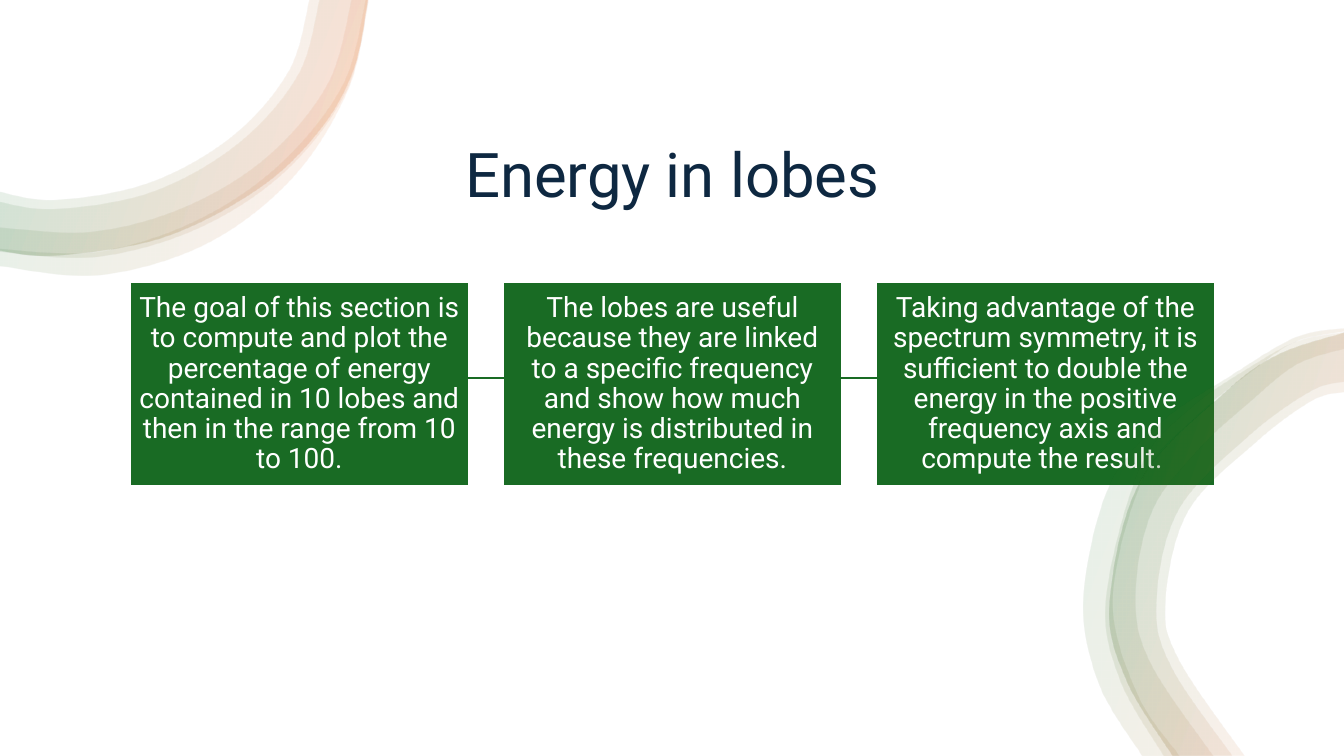
from dataclasses import dataclass

from lxml import etree
from pptx import Presentation
from pptx.dml.color import RGBColor
from pptx.enum.shapes import MSO_CONNECTOR, MSO_SHAPE
from pptx.enum.text import MSO_ANCHOR, MSO_AUTO_SIZE, PP_ALIGN
from pptx.oxml.ns import qn
from pptx.shapes.autoshape import Shape
from pptx.slide import Slide
from pptx.util import Inches, Pt

STRAIGHT = MSO_CONNECTOR.STRAIGHT
RECTANGLE = MSO_SHAPE.RECTANGLE
BOTTOM, MIDDLE = MSO_ANCHOR.BOTTOM, MSO_ANCHOR.MIDDLE
NO_AUTOFIT = MSO_AUTO_SIZE.NONE
CENTER = PP_ALIGN.CENTER

WHITE = RGBColor(0xFF, 0xFF, 0xFF)
NAVY = RGBColor(0x0E, 0x28, 0x41)
GREEN = RGBColor(0x19, 0x6B, 0x24)
ORANGE = RGBColor(0xE9, 0x71, 0x32)
FONT = "Roboto"
TITLE_ONLY = 5

RIBBON_STOPS = [(2, WHITE), (16, ORANGE), (85, GREEN), (100, WHITE)]
RIBBON_OPACITY = 10
RIBBON_ANGLE = 160

CARD_LEFT, CARD_TOP, CARD_WIDTH, CARD_HEIGHT = 1.29, 2.8, 3.36, 2.02
CARD_PITCH = 3.7
CARD_INSET = 0.08
LINK_Y = 3.75

Point = tuple[float, float]


@dataclass(frozen=True)
class Ribbon:
    outer: list[Point]
    inner: list[Point]


@dataclass(frozen=True)
class Link:
    start: float
    end: float


CORNER_EDGE = [(3.64, 0), (3.5, 0.68), (3.17, 1.28), (2.57, 1.86),
               (1.62, 2.35), (0.56, 2.53), (0, 2.48)]
CORNER_RIBBONS = [
    Ribbon(CORNER_EDGE,
           [(3.06, 0), (2.86, 0.7), (2.3, 1.35), (1.48, 1.81), (0.56, 1.98), (0, 1.9)]),
    Ribbon(CORNER_EDGE,
           [(3.16, 0), (2.95, 0.74), (2.36, 1.42), (1.51, 1.9), (0.56, 2.07), (0, 2)]),
    Ribbon([(3.64, 0), (3.43, 0.9), (2.82, 1.7), (1.96, 2.26), (0.96, 2.54), (0, 2.49)],
           [(3.48, 0), (3.25, 0.82), (2.66, 1.54), (1.85, 2.04), (0.93, 2.29), (0, 2.25)]),
    Ribbon([(3.66, 0), (3.46, 0.88), (2.91, 1.76), (2.05, 2.42), (0.99, 2.73), (0, 2.64)],
           [(3.63, 0), (3.4, 0.85), (2.77, 1.64), (1.93, 2.2), (0.96, 2.5), (0, 2.47)]),
]

SIDE_EDGE = [(11.63, 7.5), (11.17, 6.74), (11.01, 5.98), (11.31, 4.78),
             (12.13, 3.91), (12.67, 3.52), (13.33, 3.3)]
SIDE_RIBBONS = [
    Ribbon([(11.33, 7.5), (10.9, 6.78), (10.75, 5.93), (11, 4.83),
            (11.52, 4.19), (12.17, 3.75), (12.84, 3.35), (13.33, 3.26)],
           [(11.7, 7.5), (11.28, 6.88), (11.04, 5.94), (11.34, 4.74),
            (11.83, 4.16), (12.43, 3.67), (12.85, 3.39), (13.33, 3.29)]),
    Ribbon([(11.54, 7.5), (11.1, 6.73), (10.97, 5.92), (11.31, 4.63),
            (11.82, 4.04), (12.43, 3.62), (12.88, 3.38), (13.33, 3.3)],
           [(12.03, 7.5), (11.41, 6.58), (11.26, 5.92), (11.42, 5.08),
            (11.87, 4.47), (12.39, 3.99), (12.85, 3.62), (13.33, 3.46)]),
    Ribbon(SIDE_EDGE,
           [(12.22, 7.5), (11.62, 6.62), (11.47, 5.98), (11.69, 5.06),
            (12.39, 4.32), (13, 3.88), (13.33, 3.79)]),
    Ribbon(SIDE_EDGE,
           [(12.34, 7.5), (11.7, 6.56), (11.56, 5.98), (11.78, 5.08),
            (12.44, 4.4), (13, 3.98), (13.33, 3.89)]),
]

CARD_TEXTS = [
    "The goal of this section is to compute and plot the percentage of energy "
    "contained in 10 lobes and then in the range from 10 to 100.",
    "The lobes are useful because they are linked to a specific frequency "
    "and show how much energy is distributed in these frequencies.",
    "Taking advantage of the spectrum symmetry, it is sufficient to double the energy "
    "in the positive frequency axis and compute the result. ",
]
LINKS = [Link(4.62, 5.02), Link(8.26, 8.74)]


def round_edges(band: Shape, outer_count: int) -> None:
    anchors = [(int(pt.get("x")), int(pt.get("y"))) for pt in band._element.iter(qn("a:pt"))]
    bridge = outer_count - 1
    for index, segment in enumerate(list(band._element.iter(qn("a:lnTo")))):
        if index == bridge:
            continue
        first, last = (0, bridge) if index < bridge else (outer_count, len(anchors) - 1)
        before, after = anchors[max(index - 1, first)], anchors[min(index + 2, last)]
        start, end = anchors[index], anchors[index + 1]
        leaving = [s + (e - b) / 6 for b, s, e in zip(before, start, end)]
        arriving = [e - (a - s) / 6 for s, e, a in zip(start, end, after)]
        segment.tag = qn("a:cubicBezTo")
        for place, (x, y) in enumerate((leaving, arriving)):
            handle = etree.Element(qn("a:pt"), x=str(round(x)), y=str(round(y)))
            segment.insert(place, handle)


def fill_ribbon(band: Shape) -> None:
    band.fill.gradient()
    band.fill.gradient_angle = RIBBON_ANGLE
    stops = band._element.spPr.find(qn("a:gradFill")).find(qn("a:gsLst"))
    for stop in list(stops):
        stops.remove(stop)
    for percent, color in RIBBON_STOPS:
        stop = etree.SubElement(stops, qn("a:gs"), pos=str(percent * 1000))
        tint = etree.SubElement(stop, qn("a:srgbClr"), val=str(color))
        etree.SubElement(tint, qn("a:alpha"), val=str(RIBBON_OPACITY * 1000))


def draw_ribbon(slide: Slide, ribbon: Ribbon) -> None:
    outline = [(Inches(x), Inches(y)) for x, y in ribbon.outer + ribbon.inner[::-1]]
    builder = slide.shapes.build_freeform(*outline[0])
    builder.add_line_segments(outline[1:], close=True)
    band = builder.convert_to_shape()
    round_edges(band, len(ribbon.outer))
    band.shadow.inherit = False
    band.line.fill.background()
    fill_ribbon(band)


def write_text(shape: Shape, text: str, size: int, color: RGBColor) -> None:
    frame = shape.text_frame
    frame.text = text
    frame.word_wrap = True
    frame.auto_size = NO_AUTOFIT
    paragraph = frame.paragraphs[0]
    paragraph.alignment = CENTER
    paragraph.line_spacing = 0.9
    paragraph.font.name = FONT
    paragraph.font.size = Pt(size)
    paragraph.font.color.rgb = color


def draw_title(slide: Slide) -> None:
    title = slide.shapes.title
    title.left, title.top = Inches(4.34), Inches(1.5)
    title.width, title.height = Inches(4.66), Inches(0.64)
    write_text(title, "Energy in lobes", 44, NAVY)
    title.text_frame.vertical_anchor = BOTTOM


def draw_card(slide: Slide, left: float, text: str) -> None:
    card = slide.shapes.add_shape(
        RECTANGLE, Inches(left), Inches(CARD_TOP), Inches(CARD_WIDTH), Inches(CARD_HEIGHT))
    card.shadow.inherit = False
    card.fill.solid()
    card.fill.fore_color.rgb = GREEN
    card.line.color.rgb = WHITE
    card.line.width = Pt(1.5)
    write_text(card, text, 20, WHITE)
    frame = card.text_frame
    frame.vertical_anchor = MIDDLE
    frame.margin_left = frame.margin_right = Inches(CARD_INSET)
    frame.margin_top = frame.margin_bottom = Inches(CARD_INSET)


def draw_link(slide: Slide, link: Link) -> None:
    line = slide.shapes.add_connector(
        STRAIGHT, Inches(link.start), Inches(LINK_Y), Inches(link.end), Inches(LINK_Y))
    line.line.color.rgb = GREEN
    line.line.width = Pt(1.5)
    etree.SubElement(line._element.spPr, qn("a:effectLst"))


def main() -> None:
    deck = Presentation()
    deck.slide_width, deck.slide_height = Inches(13.33), Inches(7.5)
    slide = deck.slides.add_slide(deck.slide_layouts[TITLE_ONLY])
    slide.background.fill.solid()
    slide.background.fill.fore_color.rgb = WHITE
    draw_title(slide)
    for ribbon in CORNER_RIBBONS:
        draw_ribbon(slide, ribbon)
    for index, text in enumerate(CARD_TEXTS):
        draw_card(slide, CARD_LEFT + index * CARD_PITCH, text)
    for ribbon in SIDE_RIBBONS:
        draw_ribbon(slide, ribbon)
    for link in LINKS:
        draw_link(slide, link)
    deck.save("out.pptx")


if __name__ == "__main__":
    main()
